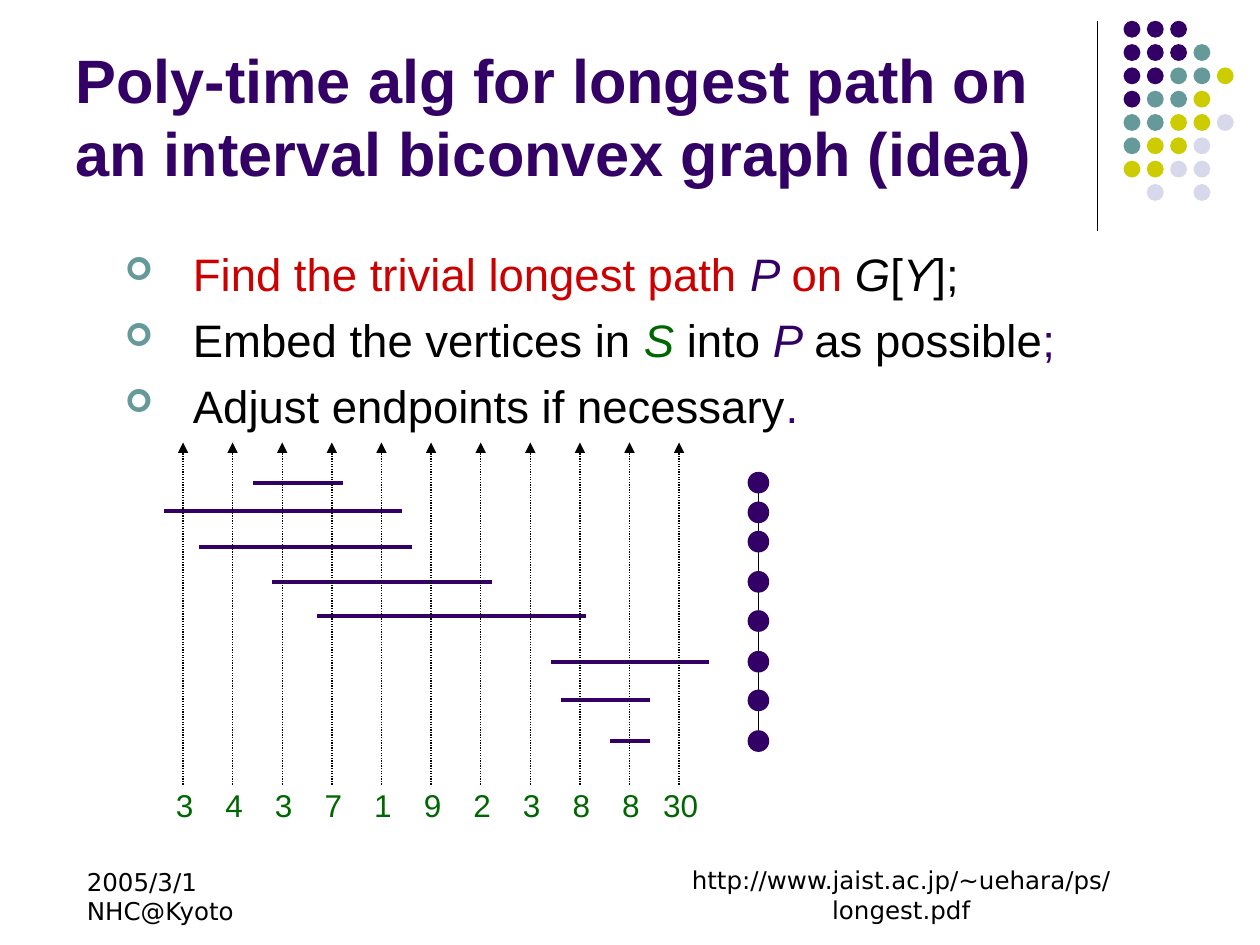
"""Build the slide on the longest path of an interval biconvex graph."""
import pptx
import pptx.dml.color
import pptx.enum.dml
import pptx.enum.shapes
import pptx.enum.text
import pptx.oxml.ns
import pptx.util
from lxml import etree

Cm = pptx.util.Cm
Pt = pptx.util.Pt
RGBColor = pptx.dml.color.RGBColor
Align = pptx.enum.text.PP_ALIGN
Anchor = pptx.enum.text.MSO_ANCHOR
qn = pptx.oxml.ns.qn

PURPLE = RGBColor(0x33, 0x00, 0x66)
TEAL = RGBColor(0x66, 0x99, 0x99)
LIME = RGBColor(0xCC, 0xCC, 0x00)
LAVENDER = RGBColor(0xD8, 0xD8, 0xEC)
RED = RGBColor(0xCC, 0x00, 0x00)
GREEN = RGBColor(0x00, 0x66, 0x00)
BLACK = RGBColor(0x00, 0x00, 0x00)

TITLE = "Poly-time alg for longest path on an interval biconvex graph (idea)"
STEPS = [
    [("Find the trivial longest path ", RED, False), ("P ", PURPLE, True),
     ("on ", RED, False), ("G", BLACK, True), ("[", BLACK, False),
     ("Y", BLACK, True), ("];", BLACK, False)],
    [("Embed the vertices in ", BLACK, False), ("S ", GREEN, True),
     ("into ", BLACK, False), ("P ", PURPLE, True),
     ("as possible", BLACK, False), (";", PURPLE, False)],
    [("Adjust endpoints if necessary", BLACK, False), (".", PURPLE, False)],
]
VENUE = "2005/3/1 NHC@Kyoto"
ADDRESS = "http://www.jaist.ac.jp/~uehara/ps/longest.pdf"

DOT_COLORS = {"P": PURPLE, "T": TEAL, "L": LIME, "V": LAVENDER}
DOT_ROWS = ["PPP", "PPPT", "PPTTL", "PTTL", "TTLLV", "TLLV", "LLVV", ".V.V"]
DOT_LEFT, DOT_TOP, DOT_STEP, DOT_SIZE = 22.65, 0.42, 0.47, 0.34

WEIGHTS = [3, 4, 3, 7, 1, 9, 2, 3, 8, 8, 30]
ARROW_LEFT, ARROW_STEP, ARROW_TOP, ARROW_BOTTOM = 3.69, 1.0, 8.92, 15.82
LABEL_WIDTH = 1.3

INTERVALS = [
    (9.73, 5.11, 6.91), (10.31, 3.3, 8.1), (11.02, 4.01, 8.31),
    (11.73, 5.49, 9.91), (12.42, 6.4, 11.81), (13.34, 11.1, 14.3),
    (14.12, 11.3, 13.11), (14.94, 12.29, 13.11),
]
PATH_X, VERTEX_SIZE = 15.29, 0.41
VERTICES = [9.73, 10.33, 10.92, 11.73, 12.52, 13.34, 14.12, 14.94]


def add_text(page, paragraphs, left, top, width, height, *, size, font="Arial",
             bold=False, align=Align.LEFT, anchor=Anchor.TOP, bullet=None):
    """Add a text box from paragraphs of (text, colour, italic) spans."""
    box = page.shapes.add_textbox(Cm(left), Cm(top), Cm(width), Cm(height))
    frame = box.text_frame
    frame.word_wrap = True
    frame.vertical_anchor = anchor
    for index, spans in enumerate(paragraphs):
        para = frame.paragraphs[0] if index == 0 else frame.add_paragraph()
        para.alignment = align
        if bullet:
            para.level = 1
            para.space_before = Pt(6.5)
            add_bullet(para, bullet)
        for text, color, italic in spans:
            span = para.add_run()
            span.text = text
            span.font.name = font
            span.font.size = Pt(size)
            span.font.bold = bold
            span.font.italic = italic
            span.font.color.rgb = color


def add_bullet(para, symbol):
    """Give a paragraph a hanging teal bullet."""
    props = para._p.get_or_add_pPr()
    props.set("marL", str(Cm(2.34)))
    props.set("indent", str(-Cm(1.37)))
    color = etree.SubElement(props, qn("a:buClr"))
    etree.SubElement(color, qn("a:srgbClr"), val=str(TEAL))
    etree.SubElement(props, qn("a:buSzPct"), val="70000")
    etree.SubElement(props, qn("a:buFont"), typeface="Wingdings")
    etree.SubElement(props, qn("a:buChar"), char=symbol)


def add_line(page, start, end, color=BLACK, width=0.75, arrow=False):
    """Add a straight line, dotted and pointed if it is an arrow."""
    line = page.shapes.add_connector(
        pptx.enum.shapes.MSO_CONNECTOR.STRAIGHT, *map(Cm, start + end))
    line.line.color.rgb = color
    line.line.width = Pt(width)
    if arrow:
        line.line.dash_style = pptx.enum.dml.MSO_LINE.ROUND_DOT
        etree.SubElement(line.line._get_or_add_ln(), qn("a:tailEnd"), type="triangle")
    etree.SubElement(line._element.spPr, qn("a:effectLst"))


def add_dot(page, left, top, size, color, outlined=False):
    """Add a filled circle."""
    dot = page.shapes.add_shape(pptx.enum.shapes.MSO_SHAPE.OVAL,
                                Cm(left), Cm(top), Cm(size), Cm(size))
    dot.shadow.inherit = False
    dot.fill.solid()
    dot.fill.fore_color.rgb = color
    if outlined:
        dot.line.color.rgb = color
        dot.line.width = Pt(0.75)
    else:
        dot.line.fill.background()


def add_ornament(page):
    """Draw the rule and the dot grid in the corner."""
    add_line(page, (22.12, 0.43), (22.12, 4.65))
    for row, codes in enumerate(DOT_ROWS):
        for column, code in enumerate(codes):
            if code in DOT_COLORS:
                add_dot(page, DOT_LEFT + column * DOT_STEP,
                        DOT_TOP + row * DOT_STEP, DOT_SIZE, DOT_COLORS[code])


def add_diagram(page):
    """Draw the intervals, the weighted arrows and the path."""
    add_line(page, (PATH_X, VERTICES[0]), (PATH_X, VERTICES[-1]))
    for y, start, end in INTERVALS:
        add_line(page, (start, y), (end, y), PURPLE, 2.25)
    for index, weight in enumerate(WEIGHTS):
        x = ARROW_LEFT + index * ARROW_STEP
        add_line(page, (x, ARROW_BOTTOM), (x, ARROW_TOP), arrow=True)
        add_text(page, [[(str(weight), GREEN, False)]],
                 x + 0.03 - LABEL_WIDTH / 2, 15.72, LABEL_WIDTH, 1.02,
                 size=18, align=Align.CENTER)
    for y in VERTICES:
        add_dot(page, PATH_X - VERTEX_SIZE / 2, y - VERTEX_SIZE / 2,
                VERTEX_SIZE, PURPLE, outlined=True)


def main():
    """Assemble and save the deck."""
    deck = pptx.Presentation()
    deck.slide_width, deck.slide_height = Cm(25.4), Cm(19.05)
    page = deck.slides.add_slide(deck.slide_layouts[6])
    add_ornament(page)
    add_text(page, [[(VENUE, BLACK, False)]], 1.5, 17.35, 5.54, 0.86,
             size=14, font="DejaVu Sans")
    add_text(page, [[(ADDRESS, BLACK, False)]], 12.62, 17.32, 11.1, 0.86,
             size=14, font="DejaVu Sans", align=Align.CENTER)
    add_text(page, [[(TITLE, PURPLE, False)]], 1.27, 0.33, 20.96, 3.61,
             size=35, bold=True, anchor=Anchor.BOTTOM)
    add_text(page, STEPS, 1.3, 4.83, 23.24, 12.24, size=26, bullet="➢")
    add_diagram(page)
    deck.save("out.pptx")


if __name__ == "__main__":
    main()
